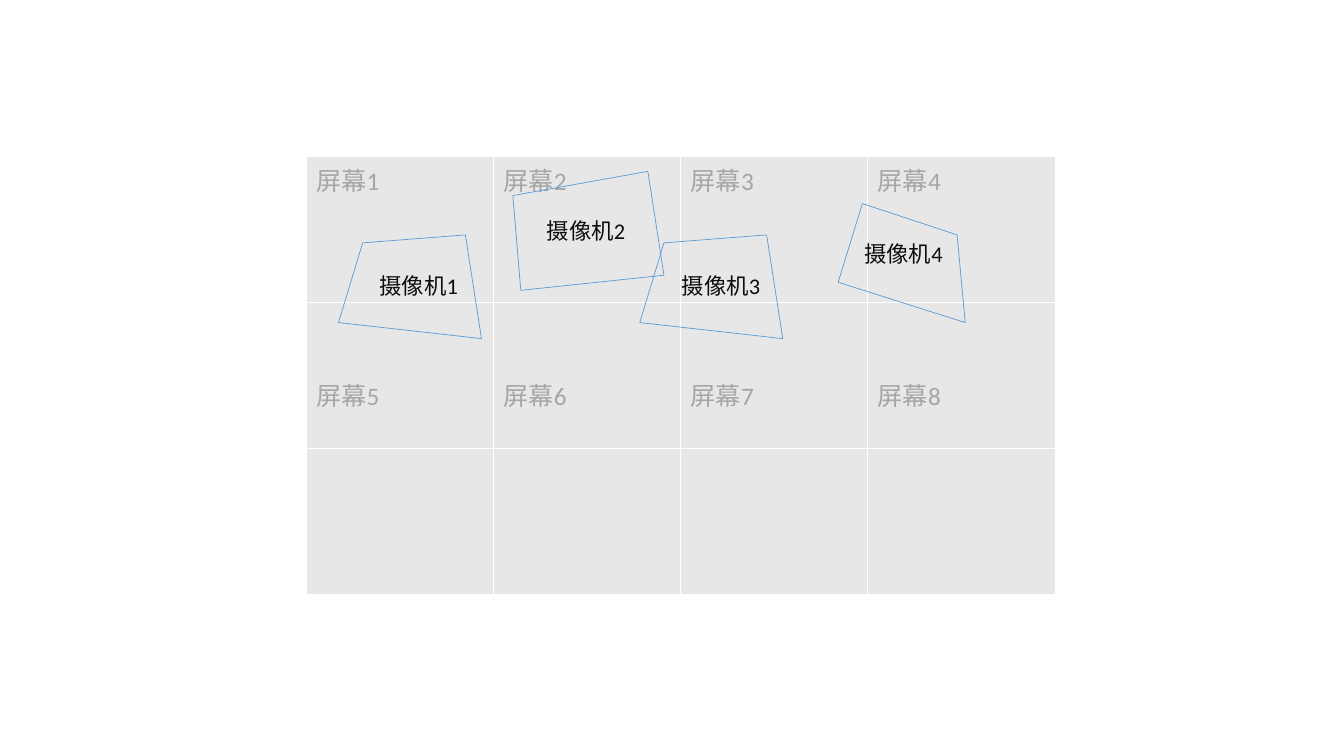
from pptx import Presentation
from pptx.dml.color import RGBColor
from pptx.enum.shapes import MSO_CONNECTOR
from pptx.enum.text import MSO_AUTO_SIZE, MSO_ANCHOR
from pptx.oxml.ns import qn
from pptx.util import Pt
from lxml.etree import SubElement

GRID_LEFT, GRID_TOP = 218.9, 111.6
COLS, ROWS = 4, 3
COL_W, ROW_H = 133.75, 104.4
LABEL_W, LABEL_H = 73.4, 46

LEANING = [(17.3, 5.7), (90.7, 0), (102.2, 74.1), (0, 62.6)]
RISING = [(0, 17.3), (96.5, 0), (108, 74.2), (5.7, 85)]
FALLING = [(17.3, 0), (85, 22.4), (90.8, 85), (0, 56.2)]

CAMERAS = [
    ("摄像机1", (264.2, 190.8), (241.9, 167.8), LEANING),
    ("摄像机2", (383.8, 151.2), (366.5, 122.4), RISING),
    ("摄像机3", (480.2, 190.8), (457.2, 167.8), LEANING),
    ("摄像机4", (610.6, 167.8), (599, 145.4), FALLING),
]


def rgb(value):
    return RGBColor.from_string(value)


def add_text(tf, text, size, color):
    r = tf.paragraphs[0].add_run()
    r.text = text
    r.font.name = "Calibri"
    r.font.size = Pt(size)
    r.font.color.rgb = rgb(color)


def set_borders(cell, color, width):
    tc_pr = cell._tc.get_or_add_tcPr()
    for i, side in enumerate(("lnL", "lnR", "lnT", "lnB")):
        ln = tc_pr.makeelement(qn(f"a:{side}"), {"w": str(int(Pt(width)))})
        fill = SubElement(ln, qn("a:solidFill"))
        SubElement(fill, qn("a:srgbClr"), {"val": color})
        tc_pr.insert(i, ln)


def add_screens(s):
    frame = s.shapes.add_table(ROWS, COLS, Pt(GRID_LEFT), Pt(GRID_TOP),
                               Pt(COLS * COL_W), Pt(ROWS * ROW_H))
    table = frame.table
    for row in table.rows:
        row.height = Pt(ROW_H)
    for col in table.columns:
        col.width = Pt(COL_W)
    for i, cell in enumerate(table.iter_cells()):
        cell.fill.solid()
        cell.fill.fore_color.rgb = rgb("E7E7E7")
        set_borders(cell, "FFFFFF", 0.45)
        row = i // COLS
        if row < 2:
            add_text(cell.text_frame, f"屏幕{i + 1}", 18, "A6A6A6")
        if row == 1:
            cell.vertical_anchor = MSO_ANCHOR.BOTTOM
            cell.margin_bottom = Pt(25.6)


def add_outline(s, origin, corners):
    group = s.shapes.add_group_shape()
    points = [(Pt(origin[0] + x), Pt(origin[1] + y)) for x, y in corners]
    for start, end in zip(points, points[1:] + points[:1]):
        line = group.shapes.add_connector(MSO_CONNECTOR.STRAIGHT, *start, *end)
        line.line.color.rgb = rgb("5B9BD5")
        line.line.width = Pt(0.5)
        SubElement(line._element.spPr, qn("a:effectLst"))


def add_label(s, text, position):
    left, top = position
    sp = s.shapes.add_textbox(Pt(left), Pt(top), Pt(LABEL_W), Pt(LABEL_H))
    tf = sp.text_frame
    tf.word_wrap = True
    tf.auto_size = MSO_AUTO_SIZE.SHAPE_TO_FIT_TEXT
    add_text(tf, text, 16, "0D0D0D")


def main():
    prs = Presentation()
    prs.slide_width, prs.slide_height = Pt(960.5), Pt(540)
    s = prs.slides.add_slide(prs.slide_layouts[6])
    add_screens(s)
    for text, position, origin, corners in CAMERAS:
        add_outline(s, origin, corners)
        add_label(s, text, position)
    prs.save("out.pptx")


if __name__ == "__main__":
    main()
